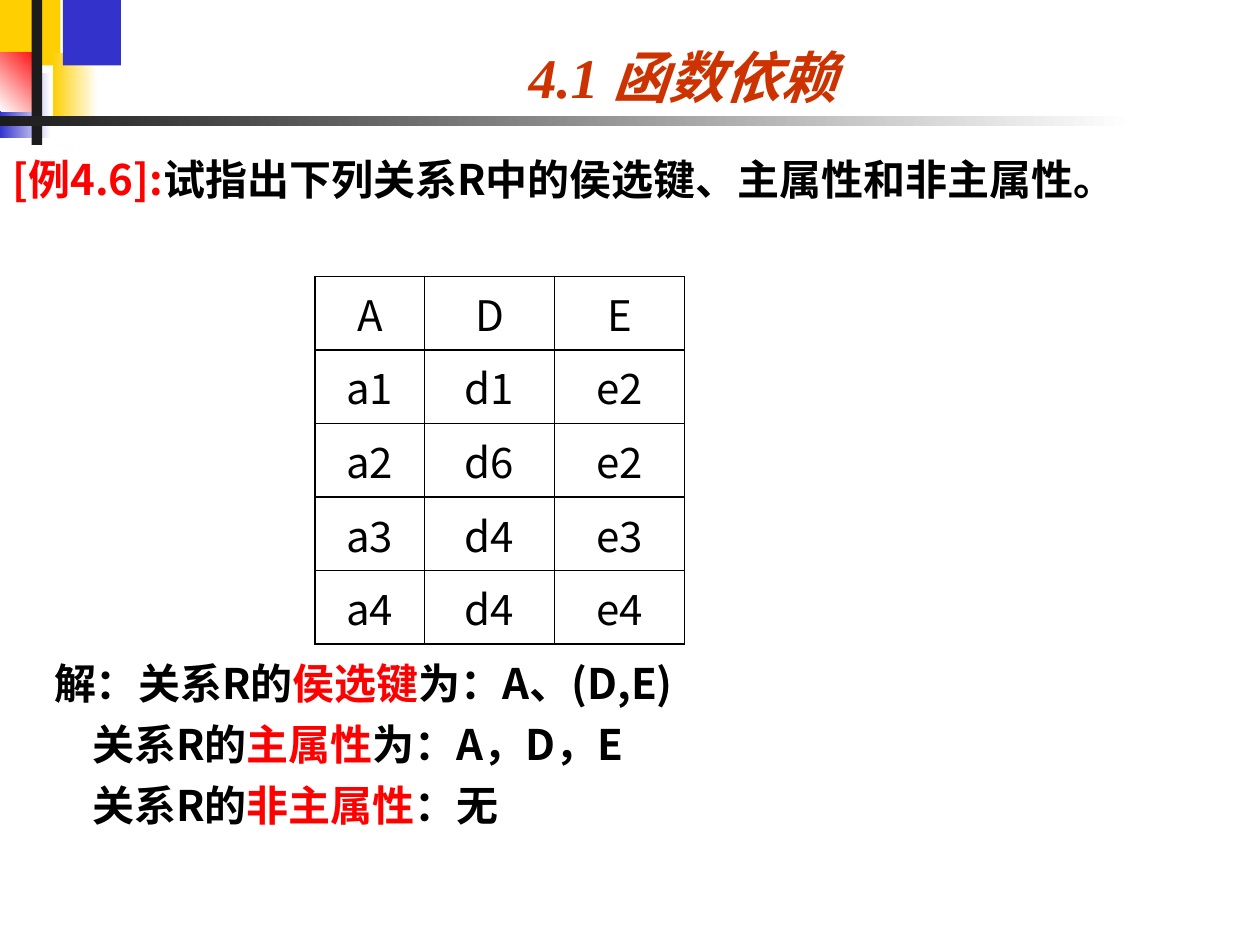
from lxml.etree import SubElement
from pptx import Presentation
from pptx.dml.color import RGBColor
from pptx.enum.shapes import MSO_SHAPE as Shape
from pptx.enum.text import MSO_ANCHOR as Anchor, MSO_AUTO_SIZE as AutoSize, PP_ALIGN as Align
from pptx.oxml.ns import qn
from pptx.util import Cm, Pt

COLORS = {
    "yellow": "FFCF01", "blue": "3333CC", "red": "FF0000", "white": "FFFFFF",
    "dark": "1C1C1C", "black": "000000", "title": "CC3300",
}
SANS, SERIF = "Noto Sans CJK SC", "Times New Roman"

# Content: text runs are (text, colour)
TITLE = "4.1 函数依赖"
QUESTION = [("[例4.6]:", "red"), ("试指出下列关系R中的侯选键、主属性和非主属性。", "black")]
RELATION = [
    ("A", "D", "E"),
    ("a1", "d1", "e2"),
    ("a2", "d6", "e2"),
    ("a3", "d4", "e3"),
    ("a4", "d4", "e4"),
]
ANSWERS = [
    [("解：关系R的", "black"), ("侯选键", "red"), ("为：A、(D,E)", "black")],
    [("关系R的", "black"), ("主属性", "red"), ("为：A，D，E", "black")],
    [("关系R的", "black"), ("非主属性", "red"), ("：无", "black")],
]

# Corner ornament: (left, top, width, height) in cm, colours, gradient angle
ORNAMENT = [
    ((0, 0, 1.22, 1.32), ("yellow",), 0),
    ((1.06, 1.06, 0.91, 1.32), ("yellow", "white"), 0),
    ((1.27, 0, 1.17, 1.32), ("blue",), 0),
    ((0, 1.47, 1.02, 1.32), ("blue", "white"), 0),
    ((0, 1.06, 0.84, 1.18), ("white", "red"), 45),
    ((0.64, 0, 0.21, 2.92), ("dark",), 0),
    ((0, 2.33, 22.86, 0.21), ("dark", "white"), 0),
]
COLUMN_WIDTHS = (2.21, 2.62, 2.62)
ROW_HEIGHT = 1.3


def rgb(name):
    return RGBColor.from_string(COLORS[name])


def format_run(run, size, color, latin=SANS, bold=False, italic=False):
    font = run.font
    font.size, font.name, font.bold, font.italic = Pt(size), latin, bold, italic
    font.color.rgb = rgb(color)
    SubElement(run._r.get_or_add_rPr(), qn("a:ea"), typeface=SANS)


def add_runs(paragraph, parts):
    for text, color in parts:
        run = paragraph.add_run()
        run.text = text
        format_run(run, 24, color, bold=True)


def place(shape, left, top, width, height):
    shape.left, shape.top, shape.width, shape.height = map(Cm, (left, top, width, height))


def add_borders(cell):
    properties = cell._tc.get_or_add_tcPr()
    for position, side in enumerate(("a:lnL", "a:lnR", "a:lnT", "a:lnB")):
        line = SubElement(properties, qn(side), w=str(Pt(1)))
        properties.insert(position, line)
        fill = SubElement(line, qn("a:solidFill"))
        SubElement(fill, qn("a:srgbClr"), val=COLORS["black"])


def add_ornament(slide):
    for box, colors, angle in ORNAMENT:
        block = slide.shapes.add_shape(Shape.RECTANGLE, *map(Cm, box))
        block.shadow.inherit = False
        block.line.fill.background()
        if len(colors) == 1:
            block.fill.solid()
            block.fill.fore_color.rgb = rgb(colors[0])
        else:
            block.fill.gradient()
            block.fill.gradient_angle = angle
            for stop, color in zip(block.fill.gradient_stops, colors):
                stop.color.rgb = rgb(color)


def add_heading(slide):
    title = slide.shapes.title
    place(title, 3.2, 0, 21.13, 2.34)
    frame = title.text_frame
    frame.text = TITLE
    frame.auto_size = AutoSize.NONE
    frame.vertical_anchor = Anchor.BOTTOM
    frame.paragraphs[0].alignment = Align.CENTER
    format_run(frame.paragraphs[0].runs[0], 32, "title", SERIF, bold=True, italic=True)


def add_question(slide):
    question = slide.placeholders[1]
    place(question, 0, 2.97, 25.4, 16.08)
    question.text_frame.auto_size = AutoSize.NONE
    paragraph = question.text_frame.paragraphs[0]
    add_runs(paragraph, QUESTION)
    properties = paragraph._p.get_or_add_pPr()
    properties.set("marL", str(Cm(0.96)))
    properties.set("indent", str(-Cm(0.96)))
    SubElement(properties, qn("a:buNone"))


def add_relation(slide):
    rows, columns = len(RELATION), len(COLUMN_WIDTHS)
    table = slide.shapes.add_table(
        rows, columns, Cm(6.35), Cm(5.57), Cm(sum(COLUMN_WIDTHS)), Cm(rows * ROW_HEIGHT)).table
    table.first_row = table.horz_banding = False
    for column, width in zip(table.columns, COLUMN_WIDTHS):
        column.width = Cm(width)
    for r, values in enumerate(RELATION):
        table.rows[r].height = Cm(ROW_HEIGHT)
        for c, value in enumerate(values):
            cell = table.cell(r, c)
            cell.text = value
            cell.fill.background()
            add_borders(cell)
            paragraph = cell.text_frame.paragraphs[0]
            paragraph.alignment = Align.CENTER
            format_run(paragraph.runs[0], 24, "black")


def add_answers(slide):
    frame = slide.shapes.add_textbox(Cm(0.84), Cm(13.13), Cm(22.86), Cm(4.37)).text_frame
    frame.word_wrap = True
    frame.auto_size = AutoSize.SHAPE_TO_FIT_TEXT
    for i, parts in enumerate(ANSWERS):
        paragraph = frame.add_paragraph() if i else frame.paragraphs[0]
        add_runs(paragraph, parts)
        if i:
            paragraph.alignment = Align.JUSTIFY
            paragraph.space_before = Pt(6)
            paragraph._p.get_or_add_pPr().set("marL", str(Cm(0.77)))


def main():
    deck = Presentation()
    deck.slide_width, deck.slide_height = Cm(25.4), Cm(19.05)
    slide = deck.slides.add_slide(deck.slide_layouts[1])
    add_ornament(slide)
    # Bring the placeholders in front of the ornament
    for placeholder in list(slide.placeholders):
        slide.shapes._spTree.append(placeholder._element)
    add_heading(slide)
    add_question(slide)
    add_relation(slide)
    add_answers(slide)
    deck.save("out.pptx")


if __name__ == "__main__":
    main()
